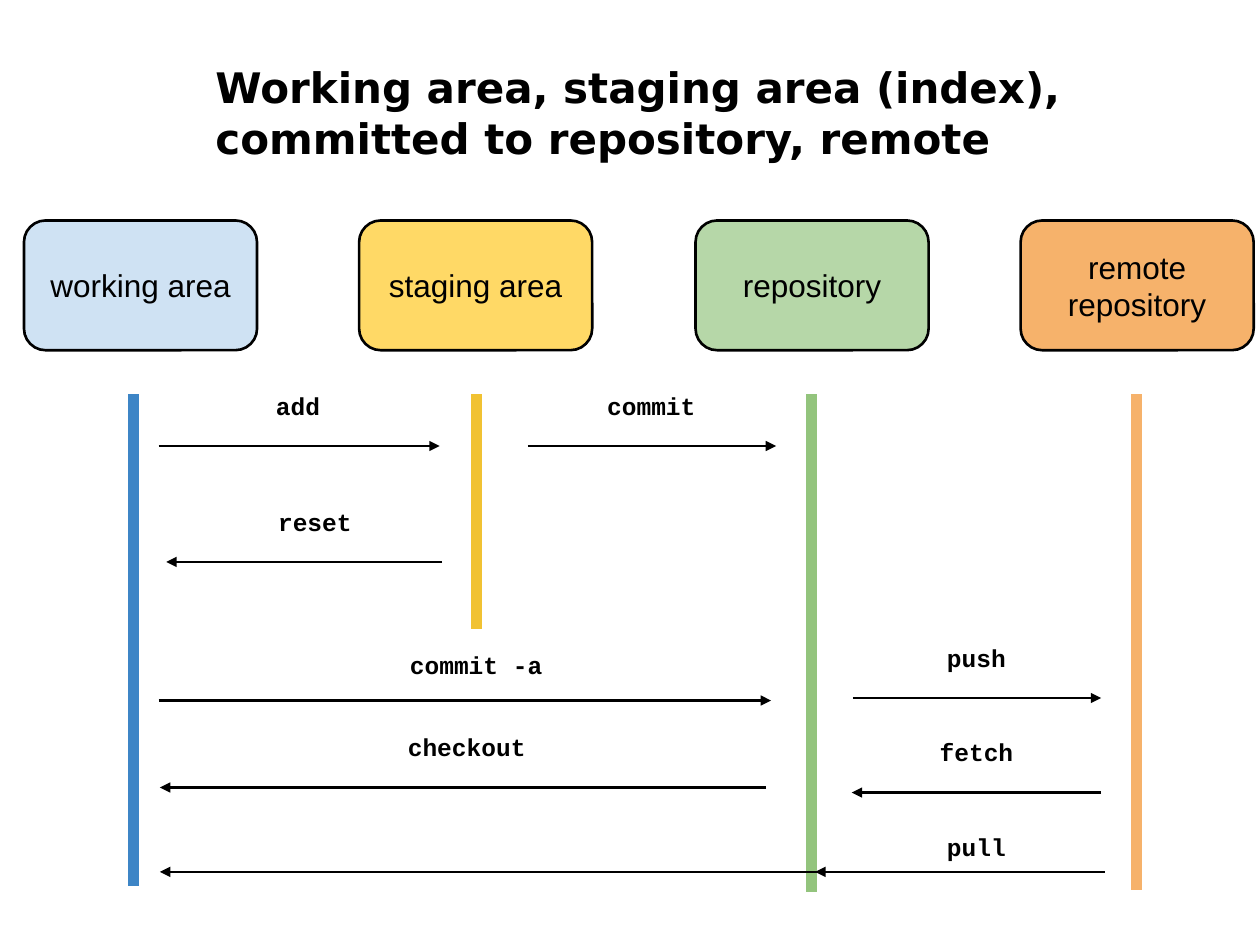
from dataclasses import dataclass

from lxml.etree import SubElement
from pptx import Presentation
from pptx.dml.color import RGBColor
from pptx.enum.shapes import MSO_CONNECTOR as Connector, MSO_SHAPE as ShapeKind
from pptx.enum.text import MSO_ANCHOR as Anchor, MSO_AUTO_SIZE as AutoSize, PP_ALIGN as Align
from pptx.oxml.ns import qn
from pptx.util import Inches, Pt


@dataclass(frozen=True)
class Theme:
    ink: str = "000000"
    title_font: str = "DejaVu Sans"
    box_font: str = "Arial"
    command_font: str = "Courier New"
    title_size: int = 24
    box_size: int = 18
    command_size: int = 14
    outline: float = 1.5
    lifeline: float = 6
    working_fill: str = "CFE2F3"
    working_line: str = "3D85C6"
    staging_fill: str = "FFD966"
    staging_line: str = "F1C232"
    repository_fill: str = "B6D7A8"
    repository_line: str = "93C47D"
    remote: str = "F6B26B"


class DiagramSlide:
    def __init__(self, slide, theme):
        self.slide = slide
        self.theme = theme

    def set_text(self, shape, text, font, size, bold=True, align=Align.CENTER, anchor=Anchor.TOP):
        frame = shape.text_frame
        margins = {f"margin_{side}": Inches(0.1) for side in ("left", "top", "right", "bottom")}
        frame_format = {"word_wrap": True, "auto_size": AutoSize.NONE,
                        "vertical_anchor": anchor, **margins}
        for name, value in frame_format.items():
            setattr(frame, name, value)
        paragraph = frame.paragraphs[0]
        paragraph.alignment = align
        run = paragraph.add_run()
        run.text = text
        for name, value in {"name": font, "size": Pt(size), "bold": bold}.items():
            setattr(run.font, name, value)
        run.font.color.rgb = RGBColor.from_string(self.theme.ink)

    def title(self, text, left, top, width, height):
        shape = self.slide.shapes.title
        place = {"left": left, "top": top, "width": width, "height": height}
        for name, value in place.items():
            setattr(shape, name, Inches(value))
        self.set_text(shape, text, self.theme.title_font, self.theme.title_size, align=Align.LEFT)

    def box(self, text, left, fill):
        shape = self.slide.shapes.add_shape(
            ShapeKind.ROUNDED_RECTANGLE, Inches(left), Inches(1.75), Inches(1.85), Inches(1.03))
        shape.shadow.inherit = False
        shape.fill.solid()
        shape.fill.fore_color.rgb = RGBColor.from_string(fill)
        shape.line.color.rgb = RGBColor.from_string(self.theme.ink)
        shape.line.width = Pt(self.theme.outline)
        self.set_text(shape, text, self.theme.box_font, self.theme.box_size,
                      bold=False, anchor=Anchor.MIDDLE)

    def command(self, text, left, top, width):
        shape = self.slide.shapes.add_textbox(
            Inches(left), Inches(top), Inches(width), Inches(0.62))
        self.set_text(shape, text, self.theme.command_font, self.theme.command_size)

    def line(self, start, end, color, width):
        connector = self.slide.shapes.add_connector(
            Connector.STRAIGHT, *(Inches(value) for value in (*start, *end)))
        connector.line.color.rgb = RGBColor.from_string(color)
        connector.line.width = Pt(width)
        SubElement(connector._element.spPr, qn("a:effectLst"))
        return connector

    def lifeline(self, x, bottom, color):
        self.line((x, 3.13), (x, bottom), color, self.theme.lifeline)

    def arrow(self, start_x, end_x, y):
        connector = self.line((start_x, y), (end_x, y), self.theme.ink, self.theme.outline)
        outline = connector._element.spPr.find(qn("a:ln"))
        SubElement(outline, qn("a:tailEnd"), type="triangle")


def main():
    presentation = Presentation()
    presentation.slide_width = Inches(10)
    presentation.slide_height = Inches(7.5)
    theme = Theme()
    diagram = DiagramSlide(presentation.slides.add_slide(presentation.slide_layouts[5]), theme)

    diagram.title("Working area, staging area (index), committed to repository, remote",
                  1.61, 0.39, 7.89, 0.64)

    areas = [
        ("working area", 0.19, theme.working_fill, 1.06, 7.03, theme.working_line),
        ("staging area", 2.85, theme.staging_fill, 3.78, 4.99, theme.staging_line),
        ("repository", 5.52, theme.repository_fill, 6.44, 7.08, theme.repository_line),
        ("remote repository", 8.1, theme.remote, 9.02, 7.06, theme.remote),
    ]
    for text, left, fill, x, bottom, color in areas:
        diagram.box(text, left, fill)
        diagram.lifeline(x, bottom, color)

    commands = [
        ("add", 1.27, 3, 2.19, 1.26, 3.49, 3.54),
        ("commit", 4.18, 3, 1.98, 4.19, 6.16, 3.54),
        ("reset", 1.32, 3.92, 2.36, 3.51, 1.32, 4.46),
        ("commit -a", 2.6, 5.06, 2.36, 1.26, 6.12, 5.56),
        ("checkout", 1.77, 5.71, 3.87, 6.08, 1.27, 6.25),
        ("push", 6.76, 5, 1.98, 6.77, 8.74, 5.54),
        ("fetch", 6.76, 5.75, 1.98, 8.74, 6.76, 6.29),
        ("pull", 6.76, 6.5, 1.98, 8.77, 1.27, 6.92),
    ]
    for text, left, top, width, start_x, end_x, y in commands:
        diagram.command(text, left, top, width)
        diagram.arrow(start_x, end_x, y)
    diagram.arrow(8.45, 6.47, 6.92)

    presentation.save("out.pptx")


if __name__ == "__main__":
    main()
